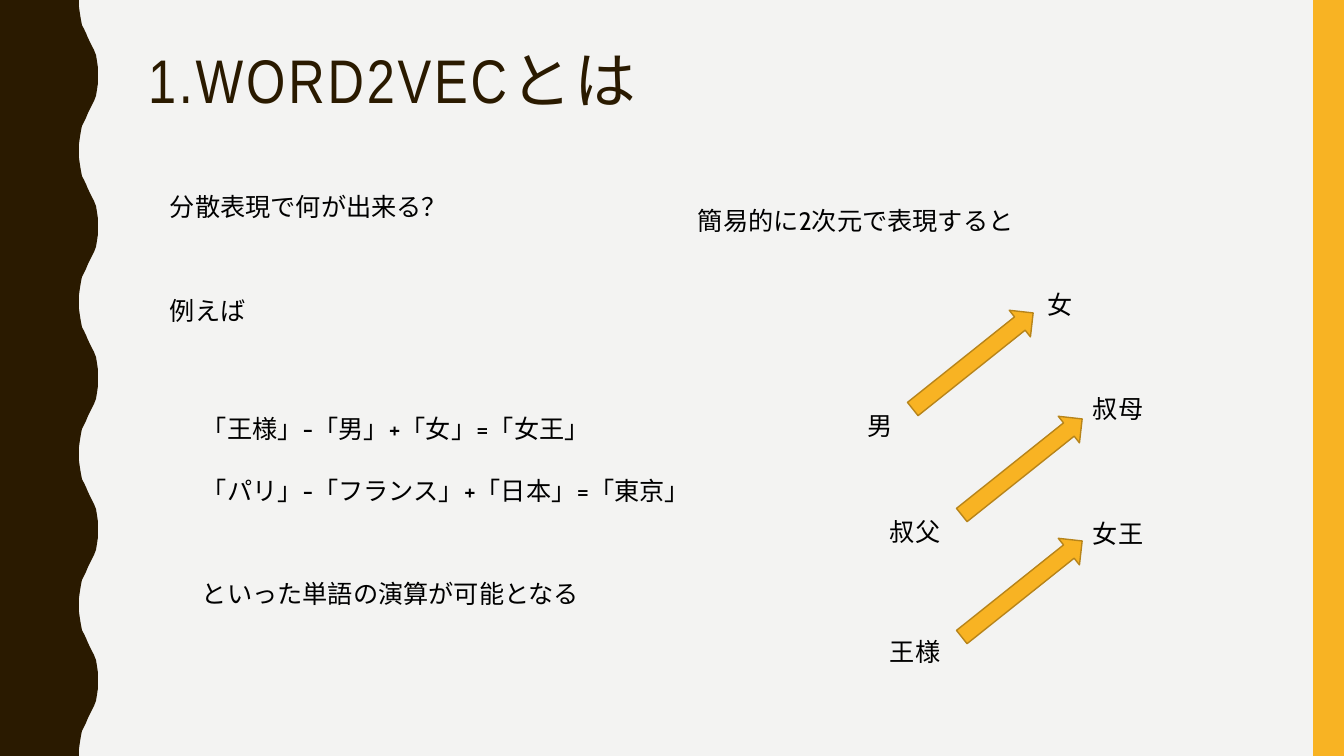
"""Build a slide on what word2vec vector arithmetic makes possible."""
import pptx
import pptx.dml.color
import pptx.enum.shapes
import pptx.enum.text
import pptx.util

BROWN = pptx.dml.color.RGBColor(0x2A, 0x1A, 0x00)
AMBER = pptx.dml.color.RGBColor(0xF8, 0xB3, 0x23)
DARK_AMBER = pptx.dml.color.RGBColor(0xB7, 0x84, 0x1A)
PALE = pptx.dml.color.RGBColor(0xF3, 0xF3, 0xF2)
BLACK = pptx.dml.color.RGBColor(0x00, 0x00, 0x00)

WIDTH, HEIGHT = 1344, 756
SCALE = 12192000 / WIDTH
HALF_WAVES = 10
HALF_WAVE = [(79, 0), (79, 7), (80, 14), (81, 20), (82, 25), (84, 29), (86, 33),
             (88, 38), (90, 42), (92, 46), (94, 50), (96, 55), (97, 61), (98, 68)]

LABELS = [
    (160, 186, 300, "分散表現で何が出来る？"),
    (160, 290, 97, "例えば"),
    (192, 408, 414, "「王様」-「男」+「女」=「女王」"),
    (192, 470, 515, "「パリ」-「フランス」+「日本」=「東京」"),
    (192, 573, 402, "といった単語の演算が可能となる"),
    (688, 200, 339, "簡易的に2次元で表現すると"),
    (858, 405, 46, "男"),
    (880, 511, 72, "叔父"),
    (880, 631, 72, "王様"),
    (1038, 284, 46, "女"),
    (1083, 388, 72, "叔母"),
    (1083, 513, 72, "女王"),
]
ARROWS = [(896, 344), (945, 450), (945, 572)]


def px(*lengths):
    return [pptx.util.Emu(round(n * SCALE)) for n in lengths]


class Deck:
    def __init__(self):
        self.prs = pptx.Presentation()
        self.prs.slide_width, self.prs.slide_height = px(WIDTH, HEIGHT)
        self.s = self.prs.slides.add_slide(self.prs.slide_layouts[5])
        fill = self.s.background.fill
        fill.solid()
        fill.fore_color.rgb = PALE

    def paint(self, sp, fill, line=None):
        sp.shadow.inherit = False
        sp.fill.solid()
        sp.fill.fore_color.rgb = fill
        if line is None:
            sp.line.fill.background()
        else:
            sp.line.color.rgb = line
            sp.line.width = pptx.util.Pt(1)

    def run(self, p, text, size, font, color):
        r = p.add_run()
        r.text = text
        r.font.size = pptx.util.Pt(size)
        r.font.name = font
        r.font.color.rgb = color
        return r

    def wave(self):
        step = HEIGHT / HALF_WAVES
        points = []
        for i in range(HALF_WAVES):
            if i % 2 == 0:
                points += [(x, i * step + y) for x, y in HALF_WAVE]
            else:
                points += [(x, (i + 1) * step - y) for x, y in reversed(HALF_WAVE)]
        builder = self.s.shapes.build_freeform(0, 0, scale=SCALE)
        builder.add_line_segments(points + [(0, HEIGHT)], close=True)
        self.paint(builder.convert_to_shape(), BROWN)

    def shape(self, kind, x, y, w, h, fill, line=None, rotation=0):
        sp = self.s.shapes.add_shape(kind, *px(x, y, w, h))
        sp.rotation = rotation
        self.paint(sp, fill, line)

    def title(self, x, y, w, h, text):
        sp = self.s.shapes.title
        sp.left, sp.top, sp.width, sp.height = px(x, y, w, h)
        tf = sp.text_frame
        tf.word_wrap = True
        tf.auto_size = pptx.enum.text.MSO_AUTO_SIZE.NONE
        tf.vertical_anchor = pptx.enum.text.MSO_ANCHOR.MIDDLE
        p = tf.paragraphs[0]
        p.alignment = pptx.enum.text.PP_ALIGN.LEFT
        p.line_spacing = 0.9
        r = self.run(p, text, 44, "Arial Narrow", BROWN)
        r.font._element.set("spc", "200")

    def label(self, x, y, w, text):
        tf = self.s.shapes.add_textbox(*px(x, y, w, 40)).text_frame
        tf.word_wrap = True
        self.run(tf.paragraphs[0], text, 18, "Cabin", BLACK)


def main():
    shapes = pptx.enum.shapes.MSO_SHAPE
    deck = Deck()
    deck.wave()
    deck.shape(shapes.RECTANGLE, 1313, 0, 31, HEIGHT, AMBER)
    deck.title(138, 42, 1122, 83, "1.WORD2VECとは")
    for label in LABELS:
        deck.label(*label)
    for x, y in ARROWS:
        deck.shape(shapes.RIGHT_ARROW, x, y, 154, 34, AMBER, DARK_AMBER, 321.4)
    deck.prs.save("out.pptx")


if __name__ == "__main__":
    main()
